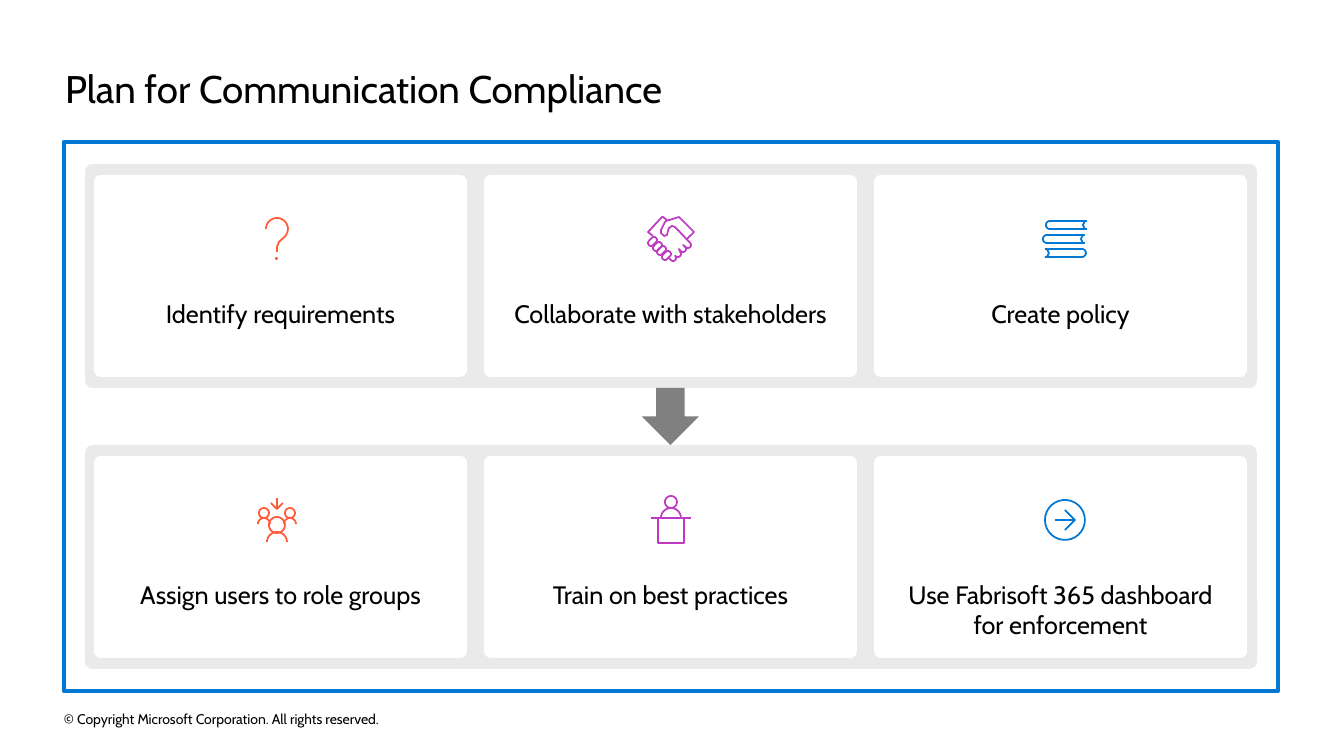
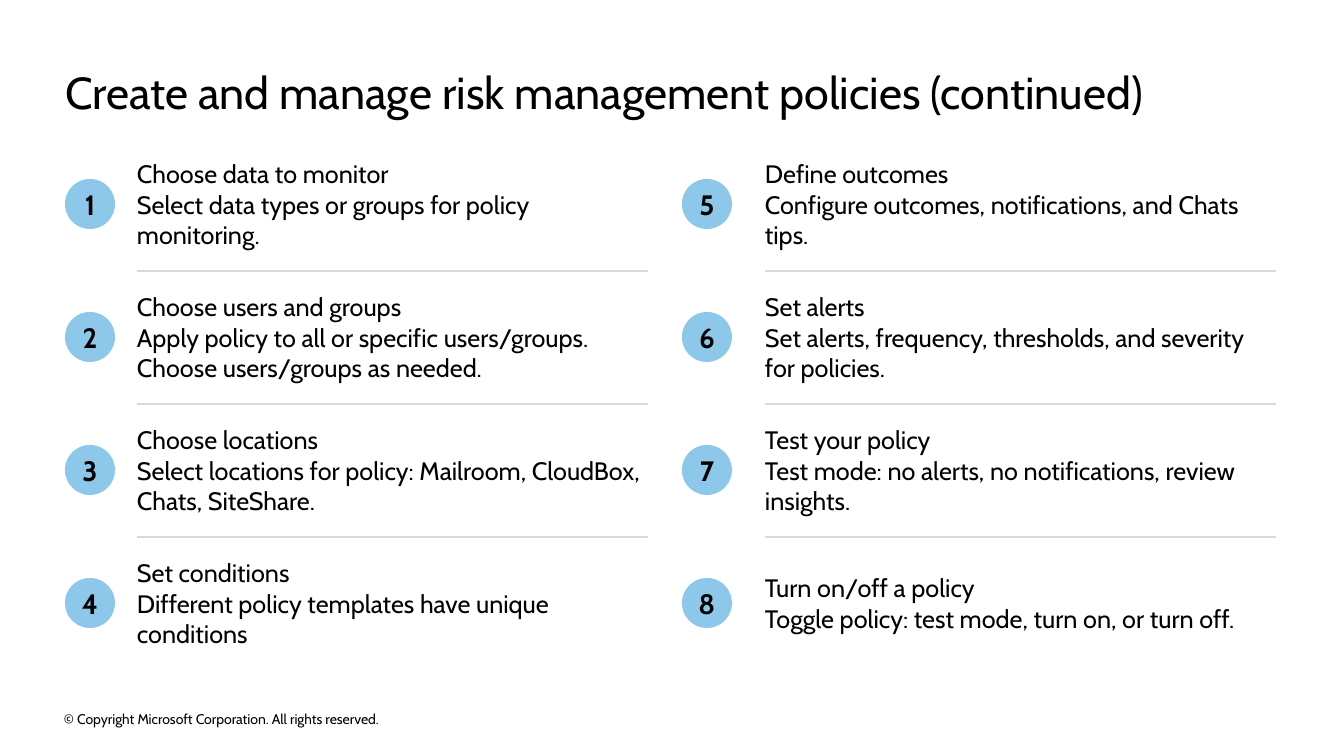
from dataclasses import dataclass
from math import ceil, cos, radians, sin

from lxml import etree
from pptx import Presentation
from pptx import util as u
from pptx.dml.color import RGBColor
from pptx.enum import shapes, text
from pptx.oxml import ns

Point = tuple[float, float]
Stroke = list[Point]

EMU_PER_PX = 914400 / 100.8
FONT = "Cabin"
BLACK, WHITE = "000000", "FFFFFF"
BLUE, ORANGE, PURPLE = "0078D4", "FE5B38", "BF3AC4"
BAND_GRAY, ARROW_GRAY, RULE_GRAY = "EAEAEA", "808080", "D9D9D9"
BADGE_BLUE = "8DC8EB"
SHAPE = shapes.MSO_SHAPE
ALIGN = text.PP_ALIGN
ANCHOR = text.MSO_ANCHOR


@dataclass(frozen=True)
class Box:
    left: int
    top: int
    width: int
    height: int


@dataclass(frozen=True)
class Card:
    label: str
    strokes: list[Stroke]


@dataclass(frozen=True)
class Step:
    heading: str
    detail: str


@dataclass(frozen=True)
class StepColumn:
    badge_left: int
    text_left: int
    steps: tuple[Step, ...]


def px(value: float) -> u.Emu:
    return u.Emu(round(value * EMU_PER_PX))


def color(value: str) -> RGBColor:
    return RGBColor.from_string(value)


def place(box: Box) -> tuple[u.Emu, ...]:
    return px(box.left), px(box.top), px(box.width), px(box.height)


def arc(x: int, y: int, radius: int, start: int = 0, end: int = 360) -> Stroke:
    count = ceil(abs(end - start) / 12)
    angles = [radians(start + (end - start) * i / count) for i in range(count + 1)]
    return [(x + radius * cos(a), y + radius * sin(a)) for a in angles]


def finger(x: int, y: int) -> Stroke:
    outline = arc(x + 3, y - 3, 3, -135, 45) + arc(x, y, 3, 45, 225)
    return outline + outline[:1]


def person(x: int, y: int, head: int, shoulder_y: int, shoulder: int) -> list[Stroke]:
    return [arc(x, y, head), arc(x, shoulder_y, shoulder, 180, 360)]


def book(left: int, right: int, y: int, spine_right: bool = False) -> list[Stroke]:
    if spine_right:
        cover = [(left, y - 4), *arc(right, y, 4, -90, 90), (left, y + 4)]
        pages = [(left + 2, y - 4), (left + 4, y), (left + 2, y + 4)]
    else:
        cover = [(right, y - 4), *arc(left, y, 4, 270, 90), (right, y + 4)]
        pages = [(right - 2, y - 4), (right - 4, y), (right - 2, y + 4)]
    return [cover, pages]


QUESTION = [
    arc(0, -10, 11, 180, 405) + [(2, 3), (0, 8), (0, 13)],
    [(-1, 20), (0, 20), (0, 19), (-1, 19), (-1, 20)],
]
HANDSHAKE = [
    [(-18, -3), (-23, -7), (-9, -22), (-8, -22), (-4, -19)],
    *[finger(x, x + 24) for x in (-20, -15, -11, -6)],
    [(-2, 19)]
    + arc(2, 19, 3, 135, -45)
    + arc(7, 15, 3, 135, -45)
    + [(8, 10)]
    + arc(12, 10, 3, 135, -45)
    + [(12, 6)]
    + arc(17, 6, 3, 135, -45)
    + [(4, -12), (1, -13), (-2, -11), (-3, -8), (-4, -4), (-7, -3), (-10, -6),
       (-10, -9), (-6, -17), (-5, -18), (8, -22), (23, -7), (16, 0)],
]
BOOKS = book(-15, 22, -14) + book(-18, 20, 0) + book(-20, 17, 14, True)
USERS = [
    *person(0, 5, 8, 22, 10),
    *person(-13, -7, 5, 4, 6),
    *person(13, -7, 5, 4, 6),
    [(0, -22), (0, -11)],
    [(-6, -17), (0, -11), (6, -17)],
]
PRESENTER = [
    *person(0, -18, 6, -2, 10),
    [(-13, -2), (-13, 23), (13, 23), (13, -2)],
    [(-20, -2), (20, -2)],
]
ARROW_CIRCLE = [arc(0, 0, 20), [(0, 10), (10, 0), (0, -10)], [(10, 0), (-10, 0)]]

CARD_ROWS = (
    (
        Card("Identify requirements", QUESTION),
        Card("Collaborate with stakeholders", HANDSHAKE),
        Card("Create policy", BOOKS),
    ),
    (
        Card("Assign users to role groups", USERS),
        Card("Train on best practices", PRESENTER),
        Card("Use Fabrisoft 365 dashboard for enforcement", ARROW_CIRCLE),
    ),
)
ICON_COLORS = (ORANGE, PURPLE, BLUE)

STEP_COLUMNS = (
    StepColumn(65, 137, (
        Step("Choose data to monitor", "Select data types or groups for policy monitoring."),
        Step("Choose users and groups",
             "Apply policy to all or specific users/groups. Choose users/groups as needed."),
        Step("Choose locations",
             "Select locations for policy: Mailroom, CloudBox, Chats, SiteShare."),
        Step("Set conditions", "Different policy templates have unique conditions"),
    )),
    StepColumn(682, 765, (
        Step("Define outcomes", "Configure outcomes, notifications, and Chats tips."),
        Step("Set alerts", "Set alerts, frequency, thresholds, and severity for policies."),
        Step("Test your policy", "Test mode: no alerts, no notifications, review insights."),
        Step("Turn on/off a policy", "Toggle policy: test mode, turn on, or turn off."),
    )),
)


def write(shape, lines: list[str], size: float, bold: bool = False,
          align=ALIGN.LEFT, anchor=ANCHOR.MIDDLE,
          insets: tuple[int, int, int, int] = (0, 0, 0, 0)) -> None:
    frame = shape.text_frame
    frame.word_wrap = True
    frame.auto_size = text.MSO_AUTO_SIZE.NONE
    frame.vertical_anchor = anchor
    frame.margin_left, frame.margin_top, frame.margin_right, frame.margin_bottom = map(px, insets)
    for index, line in enumerate(lines):
        para = frame.add_paragraph() if index else frame.paragraphs[0]
        para.text = line
        para.alignment = align
        para.font.name = FONT
        para.font.size = u.Pt(size)
        para.font.bold = bold
        para.font.color.rgb = color(BLACK)


def add_text(page, box: Box, lines: list[str], size: float):
    shape = page.shapes.add_textbox(*place(box))
    write(shape, lines, size)
    return shape


def add_filled(page, kind, box: Box, fill: str):
    shape = page.shapes.add_shape(kind, *place(box))
    shape.shadow.inherit = False
    shape.fill.solid()
    shape.fill.fore_color.rgb = color(fill)
    shape.line.fill.background()
    if kind == SHAPE.ROUNDED_RECTANGLE:
        shape.adjustments[0] = 0.033
    return shape


def outline(shape, line: str, width: float) -> None:
    shape.shadow.inherit = False
    shape.fill.background()
    shape.line.color.rgb = color(line)
    shape.line.width = u.Pt(width)


def add_icon(page, x: int, y: int, strokes: list[Stroke], line: str) -> None:
    placed = [[(px(x + dx), px(y + dy)) for dx, dy in stroke] for stroke in strokes]
    builder = page.shapes.build_freeform(*placed[0][0])
    for index, stroke in enumerate(placed):
        if index:
            builder.move_to(*stroke[0])
        builder.add_line_segments(stroke[1:], close=False)
    outline(builder.convert_to_shape(), line, 1.25)


def add_rule(page, left: int, right: int, y: int) -> None:
    rule = page.shapes.add_connector(
        shapes.MSO_CONNECTOR.STRAIGHT, px(left), px(y), px(right), px(y))
    rule.line.color.rgb = color(RULE_GRAY)
    rule.line.width = u.Pt(1)
    etree.SubElement(rule._element.spPr, ns.qn("a:effectLst"))


def add_page(deck, title: str, size: float):
    page = deck.slides.add_slide(deck.slide_layouts[5])
    heading = page.shapes.title
    heading.left, heading.top, heading.width, heading.height = place(Box(65, 65, 1213, 54))
    write(heading, [title], size, anchor=ANCHOR.TOP)
    return page


def share_footer(deck, page) -> None:
    footer = add_text(page, Box(64, 708, 457, 22),
                      ["© Copyright Microsoft Corporation. All rights reserved."], 10)
    deck.slide_layouts[5].shapes._spTree.append(footer._element)


def add_plan(deck):
    page = add_page(deck, "Plan for Communication Compliance", 27.5)
    frame = page.shapes.add_shape(SHAPE.RECTANGLE, *place(Box(64, 142, 1214, 549)))
    outline(frame, BLUE, 3)
    band_top, band_height, row_pitch = 164, 224, 281
    for row, cards in enumerate(CARD_ROWS):
        top = band_top + row * row_pitch
        add_filled(page, SHAPE.ROUNDED_RECTANGLE, Box(85, top, 1172, band_height), BAND_GRAY)
        for column, (card, line) in enumerate(zip(cards, ICON_COLORS)):
            box = Box(94 + column * 390, top + 11, 373, 202)
            panel = add_filled(page, SHAPE.ROUNDED_RECTANGLE, box, WHITE)
            write(panel, [card.label], 18, align=ALIGN.CENTER, anchor=ANCHOR.TOP,
                  insets=(20, 121, 20, 15))
            add_icon(page, 277 + column * 394, top + 75, card.strokes, line)
    arrow = Box(642, band_top + band_height, 57, row_pitch - band_height)
    add_filled(page, SHAPE.DOWN_ARROW, arrow, ARROW_GRAY)
    return page


def add_steps(deck) -> None:
    page = add_page(deck, "Create and manage risk management policies (continued)", 32)
    first_center, pitch, badge_size, text_width, text_height = 204, 133, 50, 511, 92
    number = 0
    for column in STEP_COLUMNS:
        for row, step in enumerate(column.steps):
            number += 1
            center = first_center + row * pitch
            badge_box = Box(column.badge_left, center - badge_size // 2, badge_size, badge_size)
            badge = add_filled(page, SHAPE.OVAL, badge_box, BADGE_BLUE)
            write(badge, [str(number)], 20, bold=True, align=ALIGN.CENTER)
            text_box = Box(column.text_left, center - text_height // 2, text_width, text_height)
            add_text(page, text_box, [step.heading, step.detail], 18)
            if row < len(column.steps) - 1:
                add_rule(page, column.text_left, column.text_left + text_width, center + 67)


def main() -> None:
    deck = Presentation()
    deck.slide_width, deck.slide_height = px(1344), px(756)
    share_footer(deck, add_plan(deck))
    add_steps(deck)
    deck.save("out.pptx")


if __name__ == "__main__":
    main()
